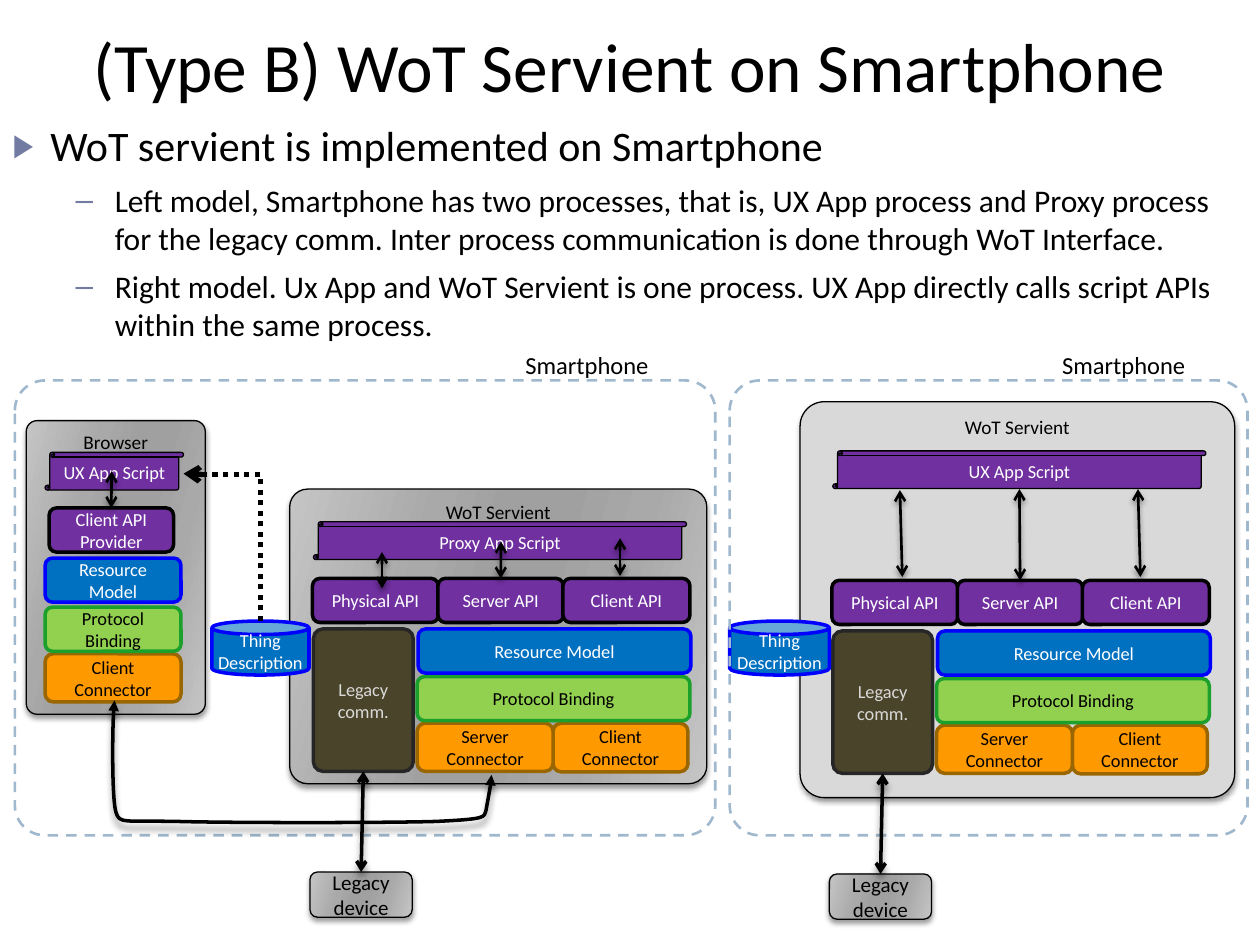
import pptx
import pptx.dml.color
import pptx.enum.dml
import pptx.enum.shapes
import pptx.enum.text
import pptx.oxml
import pptx.oxml.ns
import pptx.util

Cm, Pt = pptx.util.Cm, pptx.util.Pt
RGB = pptx.dml.color.RGBColor.from_string
SHAPE = pptx.enum.shapes.MSO_SHAPE
CONNECTOR = pptx.enum.shapes.MSO_CONNECTOR
ANCHOR = pptx.enum.text.MSO_ANCHOR
CENTER = pptx.enum.text.PP_ALIGN.CENTER
DASH = pptx.enum.dml.MSO_LINE
qn = pptx.oxml.ns.qn
NS = 'xmlns:a="http://schemas.openxmlformats.org/drawingml/2006/main"'

THEME = {
    "font": "Calibri", "text": "000000", "bullet": "727CA3",
    "title": 39.6, "lead": 24, "detail": 18, "label": 14,
    "metal": [(0, "C5C5C5"), (30, "A9A9A9"), (45, "A0A0A0"),
              (55, "A0A0A0"), (73, "A9A9A9"), (100, "C5C5C5")],
}

STYLES = {
    "panel": dict(fill="metal", size=11, adj=0.061, shadow=True, wrap=False, anchor=ANCHOR.TOP),
    "plain": dict(fill="D9D9D9", size=11, adj=0.061, shadow=True, wrap=False, anchor=ANCHOR.TOP),
    "device": dict(fill="metal", size=12, shadow=True, wrap=False),
    "script": dict(shape=SHAPE.VERTICAL_SCROLL, fill="7030A0", color="FFFFFF", wrap=False),
    "thing": dict(shape=SHAPE.CAN, fill="0070C0", line="0000FF", width=2, color="FFFFFF", wrap=False),
    "api": dict(fill="7030A0", width=2, color="FFFFFF"),
    "model": dict(fill="0070C0", line="0000FF", width=2, color="FFFFFF"),
    "binding": dict(fill="92D050", line="1BA12B", width=2),
    "connector": dict(fill="FF9900", line="996600", width=2),
    "legacy": dict(fill="4A452A", line="262626", width=2, color="D9D9D9", adj=0.095),
    "frame": dict(fill=None, line="9FB8CD", width=1.5, adj=0.066, dash=DASH.DASH),
}

TITLE = "(Type B) WoT Servient on Smartphone"
BODY = [
    (0, "WoT servient is implemented on Smartphone"),
    (1, "Left model, Smartphone has two processes, that is, UX App process and Proxy process "
        "for the legacy comm. Inter process communication is done through WoT Interface."),
    (1, "Right model. Ux App and WoT Servient is one process. UX App directly calls script APIs "
        "within the same process."),
]

BROWSER = [
    ("panel", "Browser", 0.53, 8.48, 3.61, 5.92),
    ("connector", "Client Connector", 0.91, 13.18, 2.74, 0.97),
    ("binding", "Protocol\nBinding", 0.91, 12.24, 2.74, 0.89),
    ("model", "Resource Model", 0.91, 11.25, 2.74, 0.89),
    ("script", "UX App Script", 0.91, 9.12, 2.79, 0.76),
    ("api", "Client API\nProvider", 0.99, 10.24, 2.51, 0.89),
]
SERVIENT_STACK = [
    ("connector", "Client Connector", 11.15, 14.58, 2.72, 0.98),
    ("connector", "Server Connector", 8.41, 14.58, 2.74, 0.97),
    ("binding", "Protocol Binding", 8.41, 13.64, 5.5, 0.89),
    ("model", "Resource Model", 8.43, 12.68, 5.5, 0.89),
    ("legacy", "Legacy comm.", 6.32, 12.68, 2.01, 2.87),
    ("device", "Legacy\ndevice", 6.25, 17.58, 2.06, 0.91),
    ("api", "Physical API", 6.3, 11.66, 2.54, 0.89),
    ("api", "Server API", 8.83, 11.66, 2.53, 0.89),
    ("api", "Client API", 11.35, 11.66, 2.56, 0.89),
]
MODELS = [
    dict(shift=(0, 0), label=(10.34, 6.93),
         back=[("panel", "WoT Servient", 5.84, 9.86, 8.41, 5.94),
               ("script", "Proxy App Script", 6.32, 10.52, 7.52, 0.76)],
         front=[("thing", "Thing\nDescription", 4.27, 12.52, 1.96, 1.09),
                ("frame", "", 0.3, 7.67, 14.12, 9.17)],
         calls=[(7.7, 11.13, 7.7, 11.86, None),
                (10.1, 10.92, 10.1, 11.66, "Server API"),
                (12.5, 10.85, 12.5, 11.61, None)]),
    dict(shift=(10.47, 0.04), label=(21.16, 6.93),
         back=[("plain", "WoT Servient", 16.13, 8.1, 8.76, 7.98),
               ("script", "UX App Script", 16.79, 9.09, 7.52, 0.76)],
         front=[("thing", "Thing\nDescription", 14.71, 12.52, 2.01, 1.09),
                ("frame", "", 14.71, 7.67, 10.44, 9.17)],
         calls=[(18.14, 9.88, 18.19, 11.63, None),
                (20.55, 9.86, 20.57, 11.7, "Server API"),
                (22.94, 9.86, 22.99, 11.63, None)]),
]
IPC_START = (991, 1562)
IPC_CURVES = [
    (991, 1577), (983, 1615), (980, 1633),
    (975, 1648), (983, 1651), (879, 1656),
    (777, 1659), (465, 1659), (358, 1656),
    (249, 1654), (241, 1661), (234, 1638),
    (226, 1615), (226, 1440), (231, 1412),
]


def xml(text):
    return pptx.oxml.parse_xml(text.replace(">", f" {NS}>", 1) if "/>" not in text.split(">")[0] + ">"
                               else text.replace("/>", f" {NS}/>", 1))


def style_font(p, size, color):
    for r in p.runs:
        r.font.name = THEME["font"]
        r.font.size = Pt(size)
        r.font.color.rgb = RGB(color)


def cast_shadow(effects, blur=3, dist=2):
    effects.append(xml(f'<a:outerShdw blurRad="{Pt(blur)}" dist="{Pt(dist)}" dir="5400000" rotWithShape="0">'
                       '<a:srgbClr val="000000"><a:alpha val="40000"/></a:srgbClr></a:outerShdw>'))


def metal_fill(sp):
    sp.fill.gradient()
    old = sp._element.spPr.find(qn("a:gradFill"))
    stops = "".join(f'<a:gs pos="{pos * 1000}"><a:srgbClr val="{c}"/></a:gs>' for pos, c in THEME["metal"])
    new = xml(f'<a:gradFill rotWithShape="1"><a:gsLst>{stops}</a:gsLst>'
              '<a:lin ang="960000" scaled="0"/></a:gradFill>')
    old.getparent().replace(old, new)


def add_block(s, kind, text, x, y, w, h):
    st = STYLES[kind]
    sp = s.shapes.add_shape(st.get("shape", SHAPE.ROUNDED_RECTANGLE), Cm(x), Cm(y), Cm(w), Cm(h))
    sp.shadow.inherit = False
    if "adj" in st:
        sp.adjustments[0] = st["adj"]
    if st["fill"] is None:
        sp.fill.background()
    elif st["fill"] == "metal":
        metal_fill(sp)
    else:
        sp.fill.solid()
        sp.fill.fore_color.rgb = RGB(st["fill"])
    sp.line.color.rgb = RGB(st.get("line", "000000"))
    sp.line.width = Pt(st.get("width", 0.75))
    if "dash" in st:
        sp.line.dash_style = st["dash"]
    if st.get("shadow"):
        cast_shadow(sp._element.spPr.find(qn("a:effectLst")))
    if text:
        tf = sp.text_frame
        tf.text = text
        tf.word_wrap = st.get("wrap", True)
        tf.vertical_anchor = st.get("anchor", ANCHOR.MIDDLE)
        for p in tf.paragraphs:
            p.alignment = CENTER
            style_font(p, st.get("size", 10.5), st.get("color", THEME["text"]))
    return sp


def add_blocks(s, blocks, dx=0, dy=0):
    return {text: add_block(s, kind, text, x + dx, y + dy, w, h) for kind, text, x, y, w, h in blocks}


def style_line(sp, width, ends, dash=None):
    sp.line.color.rgb = RGB("000000")
    sp.line.width = Pt(width)
    if dash:
        sp.line.dash_style = dash
    ln = sp.line._get_or_add_ln()
    for end, head in ends:
        ln.append(xml(f'<a:{end} type="{head}"/>'))


def add_arrow(s, x1, y1, x2, y2, width=1.5, start=None, end=None, shadow=(3, 2)):
    c = s.shapes.add_connector(CONNECTOR.STRAIGHT, Cm(x1), Cm(y1), Cm(x2), Cm(y2))
    if start is not None:
        c.begin_connect(start, 2)
    if end is not None:
        c.end_connect(end, 0)
    style_line(c, width, [("headEnd", "arrow"), ("tailEnd", "arrow")])
    effects = xml("<a:effectLst/>")
    c._element.spPr.append(effects)
    cast_shadow(effects, *shadow)


def add_thing_link(s, x1, y1, x2, y2):
    cx, cy, run, rise = (x1 + x2) / 2, (y1 + y2) / 2, x1 - x2, y1 - y2
    c = s.shapes.add_connector(CONNECTOR.ELBOW, Cm(cx - rise / 2), Cm(cy + run / 2),
                               Cm(cx + rise / 2), Cm(cy - run / 2))
    spPr = c._element.spPr
    spPr.find(qn("a:xfrm")).set("rot", "16200000")
    geom = spPr.find(qn("a:prstGeom"))
    for av in geom.findall(qn("a:avLst")):
        geom.remove(av)
    geom.append(xml('<a:avLst><a:gd name="adj1" fmla="val 99500"/></a:avLst>'))
    style_line(c, 3, [("tailEnd", "arrow")], DASH.ROUND_DOT)
    spPr.append(xml("<a:effectLst/>"))


def add_ipc_curve(s):
    fb = s.shapes.build_freeform(*IPC_START, scale=float(Cm(0.01)))
    fb.add_line_segments(IPC_CURVES, close=False)
    sp = fb.convert_to_shape()
    outline = next(sp._element.iter(qn("a:path")))
    segments = outline.findall(qn("a:lnTo"))
    for i in range(0, len(segments), 3):
        curve = xml("<a:cubicBezTo/>")
        for seg in segments[i:i + 3]:
            curve.append(seg[0])
            outline.remove(seg)
        outline.append(curve)
    sp.fill.background()
    sp.shadow.inherit = False
    style_line(sp, 2, [("headEnd", "triangle"), ("tailEnd", "triangle")])
    cast_shadow(sp._element.spPr.find(qn("a:effectLst")), 4, 3.4)


def place(sp, x, y, w, h):
    sp.left, sp.top, sp.width, sp.height = Cm(x), Cm(y), Cm(w), Cm(h)


def fill_text(s):
    title, body = s.placeholders[0], s.placeholders[1]
    place(title, 1.27, -0.28, 22.86, 3.18)
    title.text_frame.text = TITLE
    title.text_frame.vertical_anchor = ANCHOR.MIDDLE
    title.text_frame.paragraphs[0].alignment = CENTER
    style_font(title.text_frame.paragraphs[0], THEME["title"], THEME["text"])
    place(body, 0, 2.29, 25.1, 12.57)
    tf = body.text_frame
    tf.text = "\n".join(text for _, text in BODY)
    for i, (p, (level, _)) in enumerate(zip(tf.paragraphs, BODY)):
        p.level = level
        p.space_before = Pt(6 if i else 0)
        indent, hang, char, scale = [(0.76, 0.76, "▶", 76), (2.06, 0.79, "–", 100)][level]
        pPr = p._p.get_or_add_pPr()
        pPr.set("marL", str(Cm(indent)))
        pPr.set("indent", str(-Cm(hang)))
        pPr.append(xml(f'<a:buClr><a:srgbClr val="{THEME["bullet"]}"/></a:buClr>'))
        pPr.append(xml(f'<a:buSzPct val="{scale * 1000}"/>'))
        pPr.append(xml(f'<a:buChar char="{char}"/>'))
        style_font(p, THEME["detail" if level else "lead"], THEME["text"])


def add_model(s, shift, label, back, front, calls):
    add_blocks(s, back)
    stack = add_blocks(s, SERVIENT_STACK, *shift)
    add_blocks(s, front)
    for x1, y1, x2, y2, target in calls:
        add_arrow(s, x1, y1, x2, y2, end=stack.get(target))
    add_arrow(s, 0, 0, 1, 1, 2, stack["Legacy comm."], stack["Legacy\ndevice"], (4, 3.4))
    tb = s.shapes.add_textbox(Cm(label[0]), Cm(label[1]), Cm(3.38), Cm(0.86))
    tb.text_frame.word_wrap = True
    tb.text_frame.text = "Smartphone"
    style_font(tb.text_frame.paragraphs[0], THEME["label"], THEME["text"])


def main():
    prs = pptx.Presentation()
    prs.slide_width, prs.slide_height = Cm(25.4), Cm(19.05)
    s = prs.slides.add_slide(prs.slide_layouts[1])
    fill_text(s)
    browser = add_blocks(s, BROWSER)
    add_arrow(s, 2.25, 9.5, 2.25, 10.24, end=browser["Client API\nProvider"])
    for model in MODELS:
        add_model(s, **model)
    add_ipc_curve(s)
    add_thing_link(s, 5.25, 12.52, 3.7, 9.55)
    prs.save("out.pptx")


if __name__ == "__main__":
    main()
